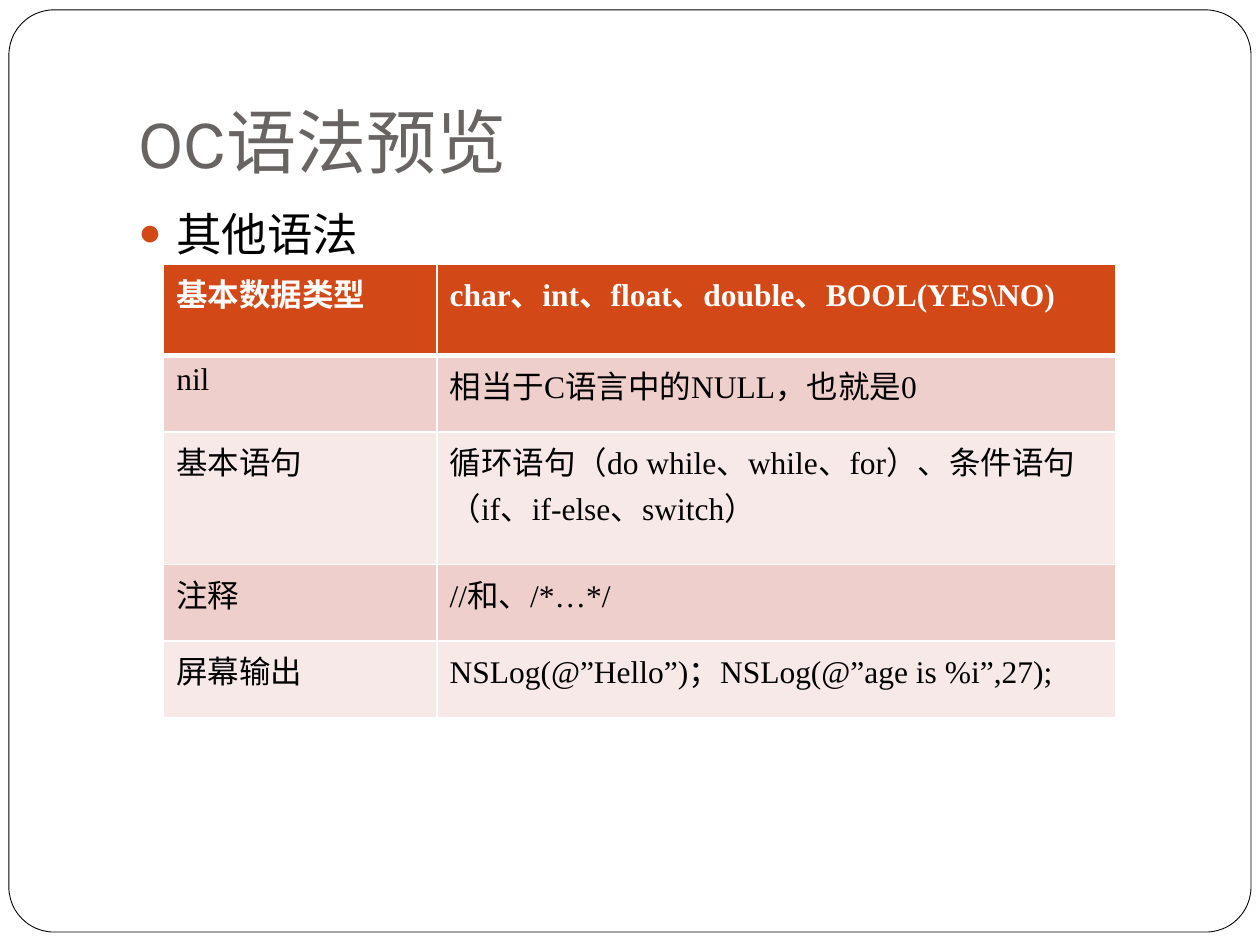
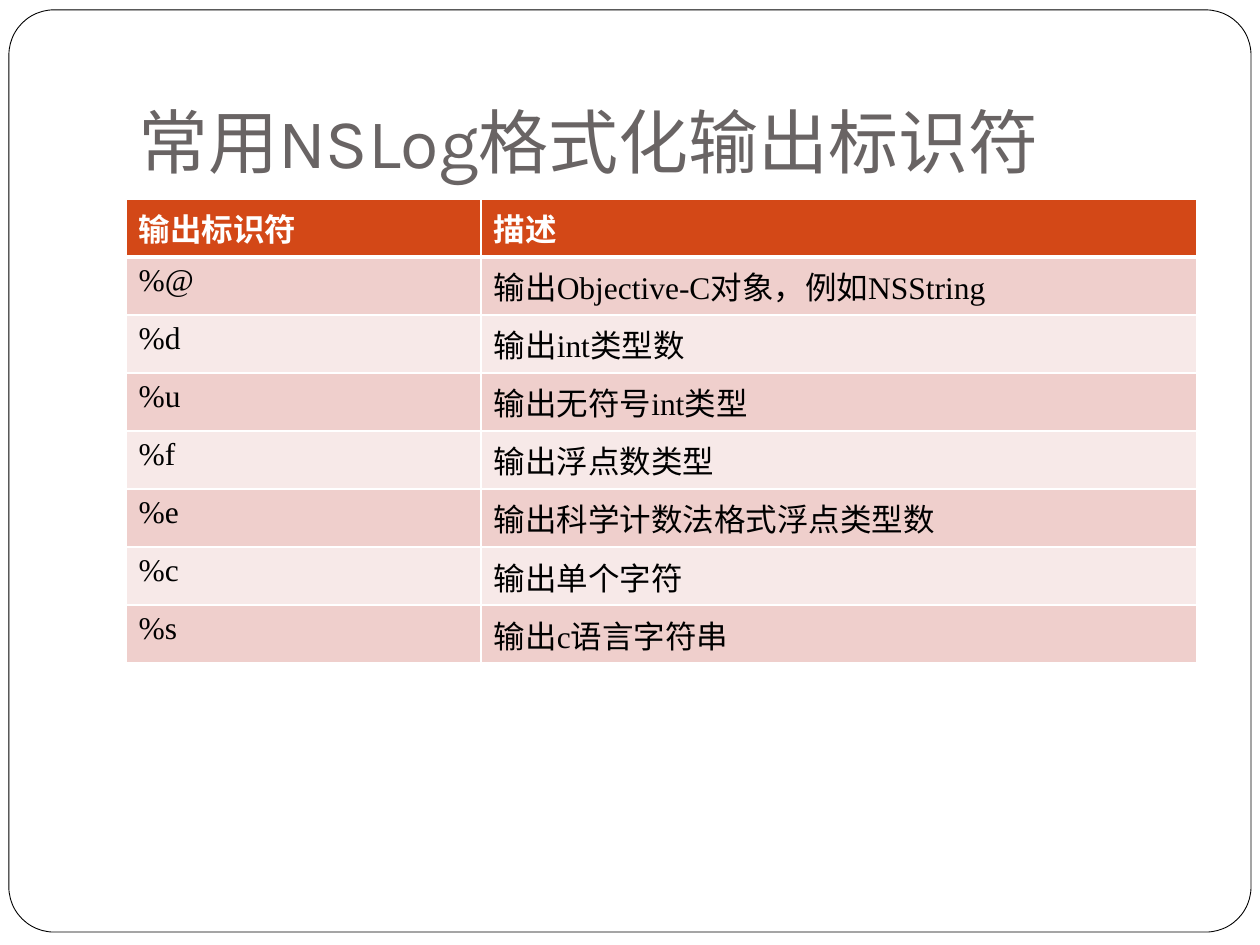
from lxml import etree
from pptx import Presentation
from pptx.dml.color import RGBColor
from pptx.enum.shapes import MSO_SHAPE
from pptx.enum.text import MSO_ANCHOR
from pptx.oxml import parse_xml
from pptx.oxml.ns import nsdecls
from pptx.util import Cm, Pt

ROUNDED_RECTANGLE = MSO_SHAPE.ROUNDED_RECTANGLE
BOTTOM = MSO_ANCHOR.BOTTOM
WHITE = RGBColor(0xFF, 0xFF, 0xFF)
BLACK = RGBColor(0x00, 0x00, 0x00)
TITLE_GREY = RGBColor(0x69, 0x64, 0x64)
ACCENT = RGBColor(0xD3, 0x48, 0x17)
BANDS = (RGBColor(0xF7, 0xE9, 0xE8), RGBColor(0xEF, 0xCF, 0xCC))
TITLE_FONT = "Karla"
BODY_FONT = "Times New Roman"

SYNTAX_ROWS = [
    ("基本数据类型", "char、int、float、double、BOOL(YES\\NO)"),
    ("nil", "相当于C语言中的NULL，也就是0"),
    ("基本语句", "循环语句（do while、while、for）、条件语句（if、if-else、switch）"),
    ("注释", "//和、/*…*/"),
    ("屏幕输出", "NSLog(@”Hello”)；NSLog(@”age is %i”,27);"),
]
FORMAT_ROWS = [
    ("输出标识符", "描述"),
    ("%@", "输出Objective-C对象，例如NSString"),
    ("%d", "输出int类型数"),
    ("%u", "输出无符号int类型"),
    ("%f", "输出浮点数类型"),
    ("%e", "输出科学计数法格式浮点类型数"),
    ("%c", "输出单个字符"),
    ("%s", "输出c语言字符串"),
]


class Deck:
    """Hold the shared style and the slide being built."""

    def __init__(self):
        self.presentation = Presentation()
        self.presentation.slide_width = Cm(25.4)
        self.presentation.slide_height = Cm(19.05)
        self.slide = None

    def add_slide(self, title):
        self.slide = self.presentation.slides.add_slide(self.presentation.slide_layouts[6])
        self.add_frame()
        self.add_title(title)

    def add_frame(self):
        frame = self.slide.shapes.add_shape(
            ROUNDED_RECTANGLE, Cm(0.18), Cm(0.2), Cm(25.04), Cm(18.59))
        frame.adjustments[0] = 0.049
        frame.shadow.inherit = False
        frame.fill.solid()
        frame.fill.fore_color.rgb = WHITE
        frame.line.color.rgb = BLACK
        frame.line.width = Pt(0.5)

    def format_text(self, paragraph, font_name, size, color, bold=False):
        for run in paragraph.runs:
            run.font.name = font_name
            run.font.size = Pt(size)
            run.font.color.rgb = color
            run.font.bold = bold

    def add_text(self, text, top, height, font_name, size, color):
        text_box = self.slide.shapes.add_textbox(Cm(2.54), Cm(top), Cm(21.59), Cm(height))
        text_frame = text_box.text_frame
        text_frame.word_wrap = True
        text_frame.text = text
        self.format_text(text_frame.paragraphs[0], font_name, size, color)
        return text_frame

    def add_title(self, text):
        text_frame = self.add_text(text, 0.75, 3.18, TITLE_FONT, 40, TITLE_GREY)
        text_frame.vertical_anchor = BOTTOM
        text_frame.margin_bottom = Cm(0.26)

    def add_bullet(self, text):
        text_frame = self.add_text(text, 4.02, 12.7, BODY_FONT, 26, BLACK)
        paragraph = text_frame.paragraphs[0]
        paragraph.space_before = Pt(5.8)
        properties = paragraph._p.get_or_add_pPr()
        properties.set("marL", str(Cm(0.76)))
        properties.set("indent", str(Cm(-0.76)))
        for markup in (
            f'<a:buClr {nsdecls("a")}><a:srgbClr val="{ACCENT}"/></a:buClr>',
            f'<a:buSzPct {nsdecls("a")} val="85000"/>',
            f'<a:buFont {nsdecls("a")} typeface="{BODY_FONT}"/>',
            f'<a:buChar {nsdecls("a")} char="●"/>',
        ):
            properties.append(parse_xml(markup))

    def add_borders(self, cell, top, bottom):
        properties = cell._tc.get_or_add_tcPr()
        widths = {"lnL": 1, "lnR": 1, "lnT": top, "lnB": bottom}
        for position, (side, width) in enumerate(widths.items()):
            border = parse_xml(f'<a:{side} {nsdecls("a")} w="{Pt(width)}"/>')
            fill = etree.SubElement(border, f"{{{border.nsmap['a']}}}solidFill")
            etree.SubElement(fill, f"{{{border.nsmap['a']}}}srgbClr", val=str(WHITE))
            properties.insert(position, border)

    def add_table(self, rows, left, top, column_widths, row_heights):
        table = self.slide.shapes.add_table(
            len(rows), len(column_widths), Cm(left), Cm(top),
            Cm(sum(column_widths)), Cm(sum(row_heights))).table
        for column, width in zip(table.columns, column_widths):
            column.width = Cm(width)
        for row_index, (texts, height) in enumerate(zip(rows, row_heights)):
            table.rows[row_index].height = Cm(height)
            is_header = row_index == 0
            for column_index, text in enumerate(texts):
                cell = table.cell(row_index, column_index)
                cell.text_frame.text = text
                self.format_text(cell.text_frame.paragraphs[0], BODY_FONT, 18,
                                 WHITE if is_header else BLACK, is_header)
                cell.fill.solid()
                cell.fill.fore_color.rgb = ACCENT if is_header else BANDS[row_index % 2]
                self.add_borders(cell, 3 if row_index == 1 else 1, 3 if is_header else 1)


def main():
    deck = Deck()
    deck.add_slide("OC语法预览")
    deck.add_bullet("其他语法")
    deck.add_table(SYNTAX_ROWS, 3.3, 5.32, (5.51, 13.69), (1.85, 1.54, 2.67, 1.54, 1.54))

    deck.add_slide("常用NSLog格式化输出标识符")
    deck.add_table(FORMAT_ROWS, 2.54, 4.01, (7.16, 14.43), [1.17] * len(FORMAT_ROWS))
    deck.presentation.save("out.pptx")


if __name__ == "__main__":
    main()
